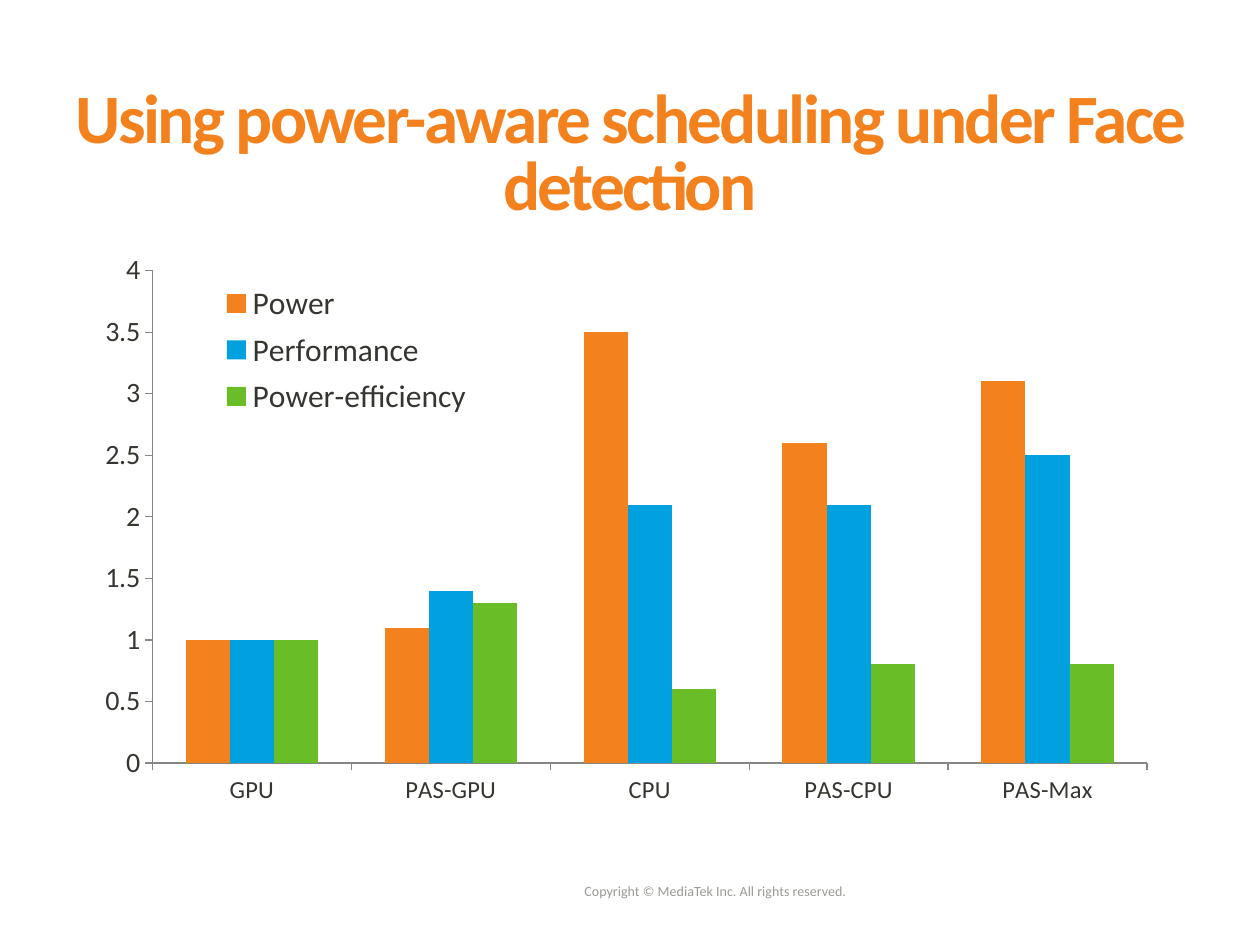
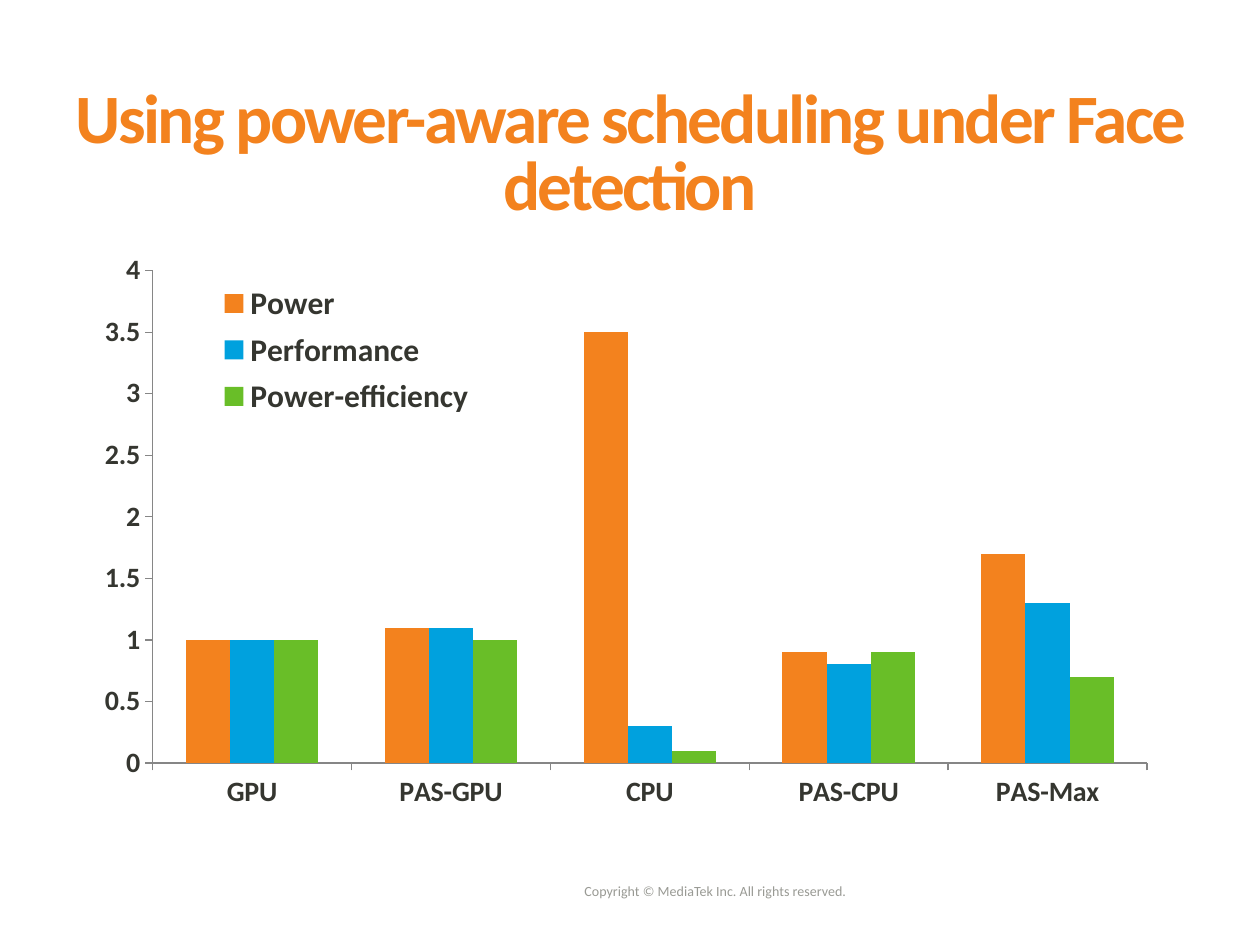
from lxml import etree
from pptx import Presentation
from pptx import util as u
from pptx.chart import data as chart_data
from pptx.dml import color
from pptx.enum import chart as ch
from pptx.enum import text
from pptx.oxml import ns

COLOURS = {
    "title": "F3821E",
    "text": "353630",
    "footer": "999A94",
    "axis": "868686",
    "Power": "F3821E",
    "Performance": "00A1DE",
    "Power-efficiency": "69BE28",
}
SCHEDULERS = ["GPU", "PAS-GPU", "CPU", "PAS-CPU", "PAS-Max"]
TITLE = "Using power-aware scheduling under Face detection"
COPYRIGHT = "Copyright © MediaTek Inc. All rights reserved."
PLOT_AREA = (0.079, 0.051, 0.877, 0.833)
LEGEND_AREA = (0.13, 0.06, 0.24, 0.25)

RESULTS = [
    {
        "label_size": 14,
        "bold": False,
        "values": {
            "Power": [1, 1.1, 3.5, 2.6, 3.1],
            "Performance": [1, 1.4, 2.1, 2.1, 2.5],
            "Power-efficiency": [1, 1.3, 0.6, 0.8, 0.8],
        },
    },
    {
        "label_size": 16,
        "bold": True,
        "values": {
            "Power": [1, 1.1, 3.5, 0.9, 1.7],
            "Performance": [1, 1.1, 0.3, 0.8, 1.3],
            "Power-efficiency": [1, 1, 0.1, 0.9, 0.7],
        },
    },
]


def rgb(name):
    return color.RGBColor.from_string(COLOURS[name])


def box(left, top, width, height):
    return [u.Inches(v) for v in (left, top, width, height)]


class Deck:
    font = "Calibri"

    def __init__(self):
        self.prs = Presentation()
        self.prs.slide_width, self.prs.slide_height = u.Inches(10), u.Inches(7.5)
        self.slide = None

    def new_slide(self):
        self.slide = self.prs.slides.add_slide(self.prs.slide_layouts[5])
        self.footer(COPYRIGHT)

    def style(self, font, size, colour, bold=False):
        font.name = self.font
        font.size = u.Pt(size)
        font.bold = bold
        font.color.rgb = rgb(colour)

    def title(self, words):
        title = self.slide.shapes.title
        title.left, title.top, title.width, title.height = box(0.5, 0.67, 9, 1.24)
        frame = title.text_frame
        frame.text = words
        frame.auto_size = text.MSO_AUTO_SIZE.NONE
        frame.vertical_anchor = text.MSO_ANCHOR.TOP
        frame.margin_left = frame.margin_right = u.Inches(0.05)
        paragraph = frame.paragraphs[0]
        paragraph.alignment = text.PP_ALIGN.CENTER
        paragraph.line_spacing = 0.8
        run = paragraph.runs[0]
        self.style(run.font, 39.6, "title", True)
        run.font._element.set("spc", "-150")

    def footer(self, words):
        frame = self.slide.shapes.add_textbox(*box(4.54, 6.87, 3.32, 0.4)).text_frame
        frame.word_wrap = True
        frame.vertical_anchor = text.MSO_ANCHOR.MIDDLE
        frame.text = words
        self.style(frame.paragraphs[0].runs[0].font, 8, "footer")

    def place(self, parent, area, inner=False):
        for old in parent.findall(ns.qn("c:layout")):
            parent.remove(old)
        layout = etree.Element(ns.qn("c:layout"))
        manual = etree.SubElement(layout, ns.qn("c:manualLayout"))
        settings = [("layoutTarget", "inner")] if inner else []
        settings += [("xMode", "edge"), ("yMode", "edge")]
        settings += zip("xywh", area)
        for tag, value in settings:
            etree.SubElement(manual, ns.qn(f"c:{tag}")).set("val", str(value))
        position = parent.find(ns.qn("c:legendPos"))
        if position is None:
            parent.insert(0, layout)
        else:
            position.addnext(layout)

    def axis(self, axis, size, bold):
        axis.has_major_gridlines = False
        axis.major_tick_mark = ch.XL_TICK_MARK.OUTSIDE
        axis.minor_tick_mark = ch.XL_TICK_MARK.NONE
        axis.format.line.color.rgb = rgb("axis")
        axis.format.line.width = u.Pt(0.75)
        self.style(axis.tick_labels.font, size, "text", bold)

    def column_chart(self, values, label_size, bold):
        figures = chart_data.CategoryChartData()
        figures.categories = SCHEDULERS
        for name, numbers in values.items():
            figures.add_series(name, numbers)
        chart = self.slide.shapes.add_chart(
            ch.XL_CHART_TYPE.COLUMN_CLUSTERED, *box(0.5, 1.91, 9, 4.69), figures
        ).chart
        chart.has_title = False
        self.style(chart.font, 10, "text")
        self.axis(chart.category_axis, label_size, bold)
        self.axis(chart.value_axis, 16, bold)
        chart.value_axis.minimum_scale = 0
        chart.value_axis.maximum_scale = 4
        chart.value_axis.major_unit = 0.5

        columns = chart.plots[0]
        columns.vary_by_categories = False
        columns.gap_width = 150
        columns.overlap = 0
        for series in columns.series:
            series.format.fill.solid()
            series.format.fill.fore_color.rgb = rgb(series.name)

        chart.has_legend = True
        chart.legend.position = ch.XL_LEGEND_POSITION.RIGHT
        chart.legend.include_in_layout = False
        self.style(chart.legend.font, 18, "text", bold)
        self.place(chart.legend._element, LEGEND_AREA)
        plot_area = chart._chartSpace.find(f".//{ns.qn('c:plotArea')}")
        self.place(plot_area, PLOT_AREA, inner=True)


def main():
    deck = Deck()
    for result in RESULTS:
        deck.new_slide()
        deck.title(TITLE)
        deck.column_chart(**result)
    deck.prs.save("out.pptx")


if __name__ == "__main__":
    main()
